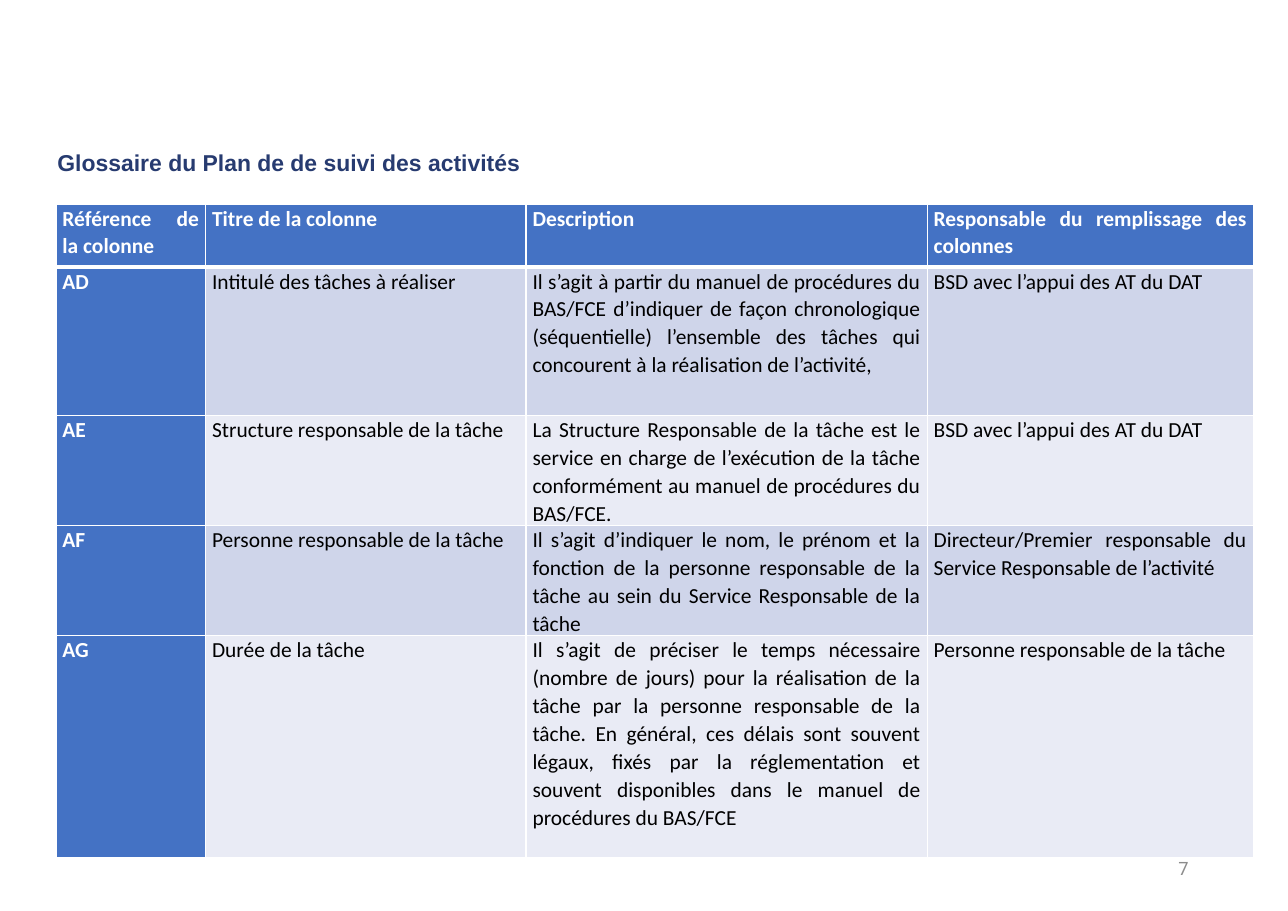
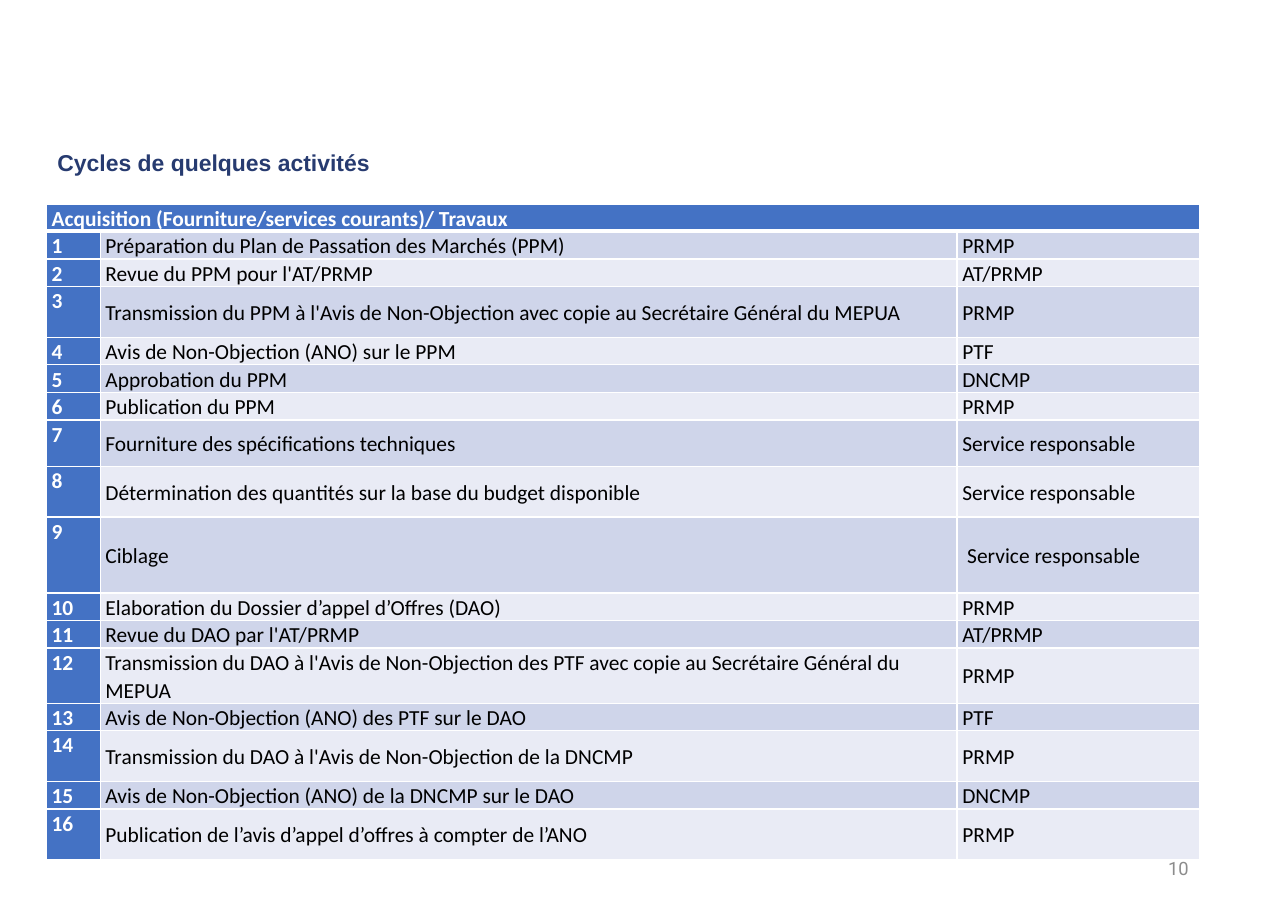
from lxml.etree import SubElement
from pptx import Presentation
from pptx.dml.color import RGBColor
from pptx.enum.text import MSO_ANCHOR, MSO_AUTO_SIZE, PP_ALIGN
from pptx.oxml.ns import qn
from pptx.util import Cm, Pt

WHITE = RGBColor(0xFF, 0xFF, 0xFF)
BLACK = RGBColor(0x00, 0x00, 0x00)
NAVY = RGBColor(0x27, 0x3B, 0x70)
GREY = RGBColor(0x8C, 0x8C, 0x8C)
BLUE = RGBColor(0x44, 0x72, 0xC4)
BAND_DARK = RGBColor(0xCF, 0xD5, 0xEA)
BAND_LIGHT = RGBColor(0xE9, 0xEB, 0xF5)

TITLE_ONLY = 5
TABLE_TOP = 4.7

GLOSSARY = [
    ("Référence de la colonne", "Titre de la colonne", "Description",
     "Responsable du remplissage des colonnes"),
    ("AD", "Intitulé des tâches à réaliser",
     "Il s’agit à partir du manuel de procédures du BAS/FCE d’indiquer de façon "
     "chronologique (séquentielle) l’ensemble des tâches qui concourent à la "
     "réalisation de l’activité,",
     "BSD avec l’appui des AT du DAT"),
    ("AE", "Structure responsable de la tâche",
     "La Structure Responsable de la tâche est le service en charge de l’exécution "
     "de la tâche conformément au manuel de procédures du BAS/FCE.",
     "BSD avec l’appui des AT du DAT"),
    ("AF", "Personne responsable de la tâche",
     "Il s’agit d’indiquer le nom, le prénom et la fonction de la personne "
     "responsable de la tâche au sein du Service Responsable de la tâche",
     "Directeur/Premier responsable du Service Responsable de l’activité"),
    ("AG", "Durée de la tâche",
     "Il s’agit de préciser le temps nécessaire (nombre de jours) pour la "
     "réalisation de la tâche par la personne responsable de la tâche. En général, "
     "ces délais sont souvent légaux, fixés par la réglementation et souvent "
     "disponibles dans le manuel de procédures du BAS/FCE",
     "Personne responsable de la tâche"),
]
GLOSSARY_HEIGHTS = [1.45, 3.43, 2.49, 2.49, 5.12]

CYCLE_HEADING = "Acquisition (Fourniture/services courants)/ Travaux"
SINGLE, MEDIUM, DOUBLE, TRIPLE = 0.58, 1.07, 1.17, 1.75
CYCLE_STEPS = [
    ("Préparation du Plan de Passation des Marchés (PPM)", "PRMP", SINGLE),
    ("Revue du PPM pour l'AT/PRMP", "AT/PRMP", SINGLE),
    ("Transmission du PPM à l'Avis de Non-Objection avec copie au Secrétaire "
     "Général du MEPUA", "PRMP", DOUBLE),
    ("Avis de Non-Objection (ANO) sur le PPM", "PTF", SINGLE),
    ("Approbation du PPM", "DNCMP", SINGLE),
    ("Publication du PPM", "PRMP", SINGLE),
    ("Fourniture des spécifications techniques", "Service responsable", MEDIUM),
    ("Détermination des quantités sur la base du budget disponible",
     "Service responsable", DOUBLE),
    ("Ciblage", " Service responsable", TRIPLE),
    ("Elaboration du Dossier d’appel d’Offres (DAO)", "PRMP", SINGLE),
    ("Revue du DAO par l'AT/PRMP", "AT/PRMP", SINGLE),
    ("Transmission du DAO à l'Avis de Non-Objection des PTF avec copie au "
     "Secrétaire Général du MEPUA", "PRMP", DOUBLE),
    ("Avis de Non-Objection (ANO) des PTF sur le DAO", "PTF", SINGLE),
    ("Transmission du DAO à l'Avis de Non-Objection de la DNCMP", "PRMP", DOUBLE),
    ("Avis de Non-Objection (ANO) de la DNCMP sur le DAO", "DNCMP", SINGLE),
    ("Publication de l’avis d’appel d’offres à compter de l’ANO", "PRMP", DOUBLE),
]


def write(paragraph, text, font_name, size, color, bold=False):
    run = paragraph.add_run()
    run.text = text
    run.font.name = font_name
    run.font.size = Pt(size)
    run.font.bold = bold
    run.font.color.rgb = color


def add_titled_slide(deck, title_text, page_number):
    slide = deck.slides.add_slide(deck.slide_layouts[TITLE_ONLY])
    title = slide.shapes.title
    title.left, title.top, title.width, title.height = Cm(1.07), Cm(3.38), Cm(12.52), Cm(0.86)
    frame = title.text_frame
    frame.auto_size = MSO_AUTO_SIZE.NONE
    frame.vertical_anchor = MSO_ANCHOR.TOP
    heading = frame.paragraphs[0]
    heading.alignment = PP_ALIGN.LEFT
    heading.line_spacing = 0.9
    write(heading, title_text, "Arial", 15, NAVY, bold=True)

    footer = slide.shapes.add_textbox(Cm(20.98), Cm(19.46), Cm(6.68), Cm(1.12)).text_frame
    footer.word_wrap = True
    footer.vertical_anchor = MSO_ANCHOR.MIDDLE
    footer.paragraphs[0].alignment = PP_ALIGN.RIGHT
    write(footer.paragraphs[0], str(page_number), "Roboto", 12, GREY)
    return slide


def set_borders(cell, top, bottom):
    """Draw white borders; top and bottom are widths in points."""
    properties = cell._tc.get_or_add_tcPr()
    for side, width in (("L", 1), ("R", 1), ("T", top), ("B", bottom)):
        line = SubElement(properties, qn(f"a:ln{side}"), w=str(Pt(width)))
        SubElement(SubElement(line, qn("a:solidFill")), qn("a:srgbClr"), val=str(WHITE))


def format_cell(cell, row, column, side_margin):
    set_borders(cell, top=3 if row == 1 else 1, bottom=3 if row == 0 else 1)
    cell.fill.solid()
    if row == 0 or column == 0:
        cell.fill.fore_color.rgb = BLUE
    else:
        cell.fill.fore_color.rgb = BAND_DARK if row % 2 else BAND_LIGHT
    cell.margin_left = cell.margin_right = Cm(side_margin)
    cell.margin_top = cell.margin_bottom = 0


def add_banded_table(slide, left, widths, heights, rows, side_margin, alignment, body_anchor):
    """Add a table with a blue header row and first column."""
    table = slide.shapes.add_table(
        len(rows), len(widths), Cm(left), Cm(TABLE_TOP), Cm(sum(widths)), Cm(sum(heights))
    ).table
    for column, width in zip(table.columns, widths):
        column.width = Cm(width)
    for r, (texts, height) in enumerate(zip(rows, heights)):
        table.rows[r].height = Cm(height)
        for c, text in enumerate(texts):
            cell = table.cell(r, c)
            format_cell(cell, r, c, side_margin)
            emphasized = r == 0 or c == 0
            cell.vertical_anchor = MSO_ANCHOR.TOP if emphasized else body_anchor
            paragraph = cell.text_frame.paragraphs[0]
            paragraph.alignment = alignment
            paragraph.line_spacing = 1.07
            if text:
                write(paragraph, text, "Calibri", 14, WHITE if emphasized else BLACK, emphasized)
    return table


def add_glossary_slide(deck):
    slide = add_titled_slide(deck, "Glossaire du Plan de de suivi des activités", 7)
    add_banded_table(slide, 1.29, [3.45, 7.39, 9.25, 7.52], GLOSSARY_HEIGHTS, GLOSSARY,
                     0.15, PP_ALIGN.JUSTIFY, MSO_ANCHOR.TOP)


def add_cycle_slide(deck):
    slide = add_titled_slide(deck, "Cycles de quelques activités", 10)
    rows = [(CYCLE_HEADING, "", "")]
    rows += [(str(number), task, owner)
             for number, (task, owner, _) in enumerate(CYCLE_STEPS, start=1)]
    heights = [SINGLE] + [height for _, _, height in CYCLE_STEPS]
    table = add_banded_table(slide, 1.07, [1.24, 19.76, 5.59], heights, rows,
                             0.12, PP_ALIGN.LEFT, MSO_ANCHOR.MIDDLE)
    table.cell(0, 0).merge(table.cell(0, 2))


def main():
    deck = Presentation()
    deck.slide_width, deck.slide_height = Cm(29.7), Cm(21)
    add_glossary_slide(deck)
    add_cycle_slide(deck)
    deck.save("out.pptx")


if __name__ == "__main__":
    main()
